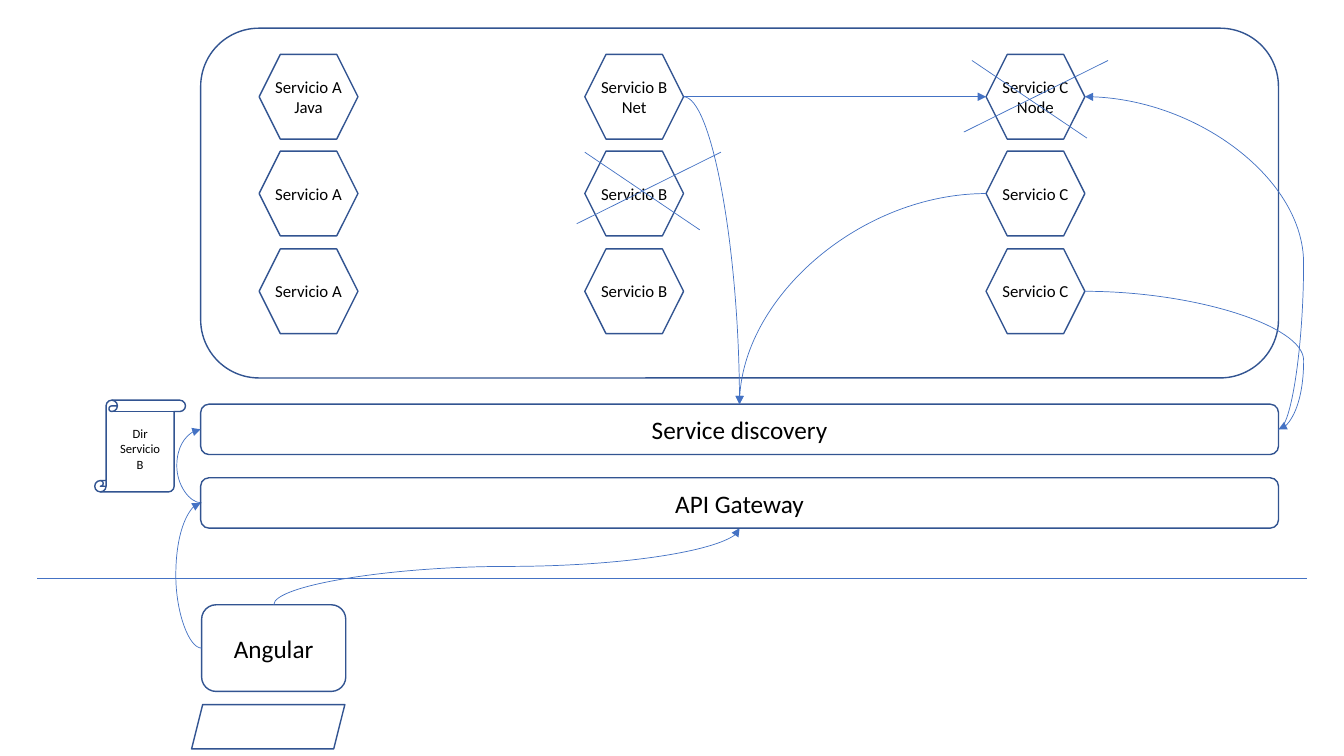
from dataclasses import dataclass

from lxml import etree
from pptx import Presentation
from pptx.dml.color import RGBColor
from pptx.enum.shapes import MSO_CONNECTOR, MSO_SHAPE
from pptx.enum.text import MSO_ANCHOR, PP_ALIGN
from pptx.oxml.ns import qn
from pptx.util import Inches, Pt

STRAIGHT, CURVE = MSO_CONNECTOR.STRAIGHT, MSO_CONNECTOR.CURVE
ROUNDED, HEXAGON = MSO_SHAPE.ROUNDED_RECTANGLE, MSO_SHAPE.HEXAGON
SCROLL, PARALLELOGRAM = MSO_SHAPE.VERTICAL_SCROLL, MSO_SHAPE.PARALLELOGRAM
MIDDLE, CENTER = MSO_ANCHOR.MIDDLE, PP_ALIGN.CENTER


@dataclass(frozen=True)
class Theme:
    """Colours, font, type sizes and line widths."""
    outline: RGBColor = RGBColor(0x32, 0x54, 0x91)
    link: RGBColor = RGBColor(0x44, 0x72, 0xC4)
    text: RGBColor = RGBColor(0, 0, 0)
    font: str = "Calibri"
    large: Pt = Pt(18)
    medium: Pt = Pt(12)
    small: Pt = Pt(9)
    outline_width: Pt = Pt(1)
    link_width: Pt = Pt(0.5)


THEME = Theme()

PANEL = (1.99, 0.28, 10.69, 3.47)
DISCOVERY = (1.99, 4.01, 10.69, 0.5)
GATEWAY = (1.99, 4.74, 10.69, 0.5)
CLIENT = (2, 6, 1.43, 0.86)
HEX_W, HEX_H = 0.98, 0.84
COLUMNS = {"A": (0.58, "Java"), "B": (3.81, "Net"), "C": (7.79, "Node")}
ROWS = (0.26, 1.22, 2.19)


def add_box(s, kind, box, text="", size=THEME.large, inset=None):
    """Add an outlined, unfilled shape with centred text."""
    sp = s.shapes.add_shape(kind, *map(Inches, box))
    sp.shadow.inherit = False
    sp.fill.background()
    sp.line.color.rgb = THEME.outline
    sp.line.width = THEME.outline_width
    tf = sp.text_frame
    tf.word_wrap, tf.vertical_anchor = True, MIDDLE
    if inset is not None:
        for side in ("left", "top", "right", "bottom"):
            setattr(tf, f"margin_{side}", Inches(inset))
    if text:
        tf.text = text
        for p in tf.paragraphs:
            p.alignment = CENTER
            font = p.runs[0].font
            font.color.rgb = THEME.text
            for name, value in {"name": THEME.font, "size": size}.items():
                setattr(font, name, value)
    return sp


def add_link(s, start, end, kind=STRAIGHT, arrow=False):
    """Add a thin connector, with an optional arrowhead at its end."""
    link = s.shapes.add_connector(kind, *map(Inches, (*start, *end)))
    link.line.color.rgb = THEME.link
    link.line.width = THEME.link_width
    if arrow:
        etree.SubElement(link.line._get_or_add_ln(), qn("a:tailEnd"), type="triangle")
    etree.SubElement(link._element.spPr, qn("a:effectLst"))
    return link


def set_bend(link, ratio):
    """Place the middle of a curve at a ratio of its run."""
    guides = link._element.spPr.find(qn("a:prstGeom")).get_or_add_avLst()
    etree.SubElement(guides, qn("a:gd"), name="adj1", fmla=f"val {round(ratio * 100000)}")


def side_curve(s, start, end, bend_x):
    """Curve out sideways to bend_x and back to the end point."""
    link = add_link(s, start, end, CURVE, arrow=True)
    set_bend(link, (bend_x - start[0]) / (end[0] - start[0]))


def corner_curve(s, start, end):
    """Leave horizontally and arrive vertically."""
    link = add_link(s, start, end, CURVE, arrow=True)
    link._element.spPr.find(qn("a:prstGeom")).set("prst", "curvedConnector2")


def rising_curve(s, start, end):
    """Leave and arrive vertically, as a quarter-turned S curve."""
    mid_x, mid_y = (start[0] + end[0]) / 2, (start[1] + end[1]) / 2
    half_w, half_h = abs(start[1] - end[1]) / 2, abs(end[0] - start[0]) / 2
    link = add_link(s, (mid_x + half_w, mid_y + half_h),
                    (mid_x - half_w, mid_y - half_h), CURVE, arrow=True)
    link._element.spPr.find(qn("a:xfrm")).set("rot", str(90 * 60000))
    set_bend(link, 0.5)


def cross_out(s, x, y):
    """Strike out a service with two crossing lines."""
    add_link(s, (x, y), (x + 1.14, y + 0.77))
    add_link(s, (x + 1.35, y), (x - 0.08, y + 0.71))


def side(box, name):
    """Return the midpoint of one side of a box."""
    x, y, w, h = box
    return {"left": (x, y + h / 2), "right": (x + w, y + h / 2),
            "top": (x + w / 2, y), "bottom": (x + w / 2, y + h)}[name]


def services(s, box):
    """Draw the service panel and return the hexagon boxes by name."""
    left, top = box[:2]
    add_box(s, ROUNDED, box)
    hexes = {}
    for row, dy in enumerate(ROWS, 1):
        for letter, (dx, platform) in COLUMNS.items():
            place = (left + dx, top + dy, HEX_W, HEX_H)
            label = f"Servicio {letter}" + (f"\n{platform}" if row == 1 else "")
            add_box(s, HEXAGON, place, label, THEME.medium, inset=0)
            hexes[f"{letter}{row}"] = place
    cross_out(s, left + 3.81, top + 1.23)
    cross_out(s, left + 7.65, top + 0.32)
    return hexes


def client(s, box):
    """Draw the client app, its keyboard and the line that separates it."""
    x, y, w, h = box
    add_box(s, ROUNDED, box, "Angular")
    add_box(s, PARALLELOGRAM, (x - 0.1, y + h + 0.13, w + 0.09, 0.44))
    add_link(s, (x - 1.63, y - 0.26), (x + 10.96, y - 0.26))


def discovery(s, box):
    """Draw the discovery bar with the directory scroll at its left."""
    x, y = box[:2]
    add_box(s, SCROLL, (x - 1.05, y - 0.04, 0.9, 0.91), "Dir Servicio B", THEME.small)
    add_box(s, ROUNDED, box, "Service discovery")


def calls(s, hexes):
    """Draw the calls between services, bars and client."""
    lookup, registry = side(DISCOVERY, "top"), side(DISCOVERY, "right")
    entry = side(GATEWAY, "left")
    caller, target = side(hexes["B1"], "right"), side(hexes["C1"], "right")
    add_link(s, caller, side(hexes["C1"], "left"), arrow=True)
    side_curve(s, side(hexes["C3"], "right"), registry, 12.93)
    corner_curve(s, side(hexes["C2"], "left"), lookup)
    side_curve(s, registry, target, 12.93)
    side_curve(s, side(CLIENT, "left"), entry, 1.74)
    side_curve(s, (entry[0] + 0.01, entry[1]), side(DISCOVERY, "left"), 1.75)
    corner_curve(s, caller, lookup)
    rising_curve(s, side(CLIENT, "top"), side(GATEWAY, "bottom"))


def main():
    """Build the architecture slide and save it."""
    prs = Presentation()
    prs.slide_width, prs.slide_height = Inches(13.33), Inches(7.5)
    s = prs.slides.add_slide(prs.slide_layouts[6])
    client(s, CLIENT)
    hexes = services(s, PANEL)
    discovery(s, DISCOVERY)
    calls(s, hexes)
    add_box(s, ROUNDED, GATEWAY, "API Gateway")
    prs.save("out.pptx")


main()
